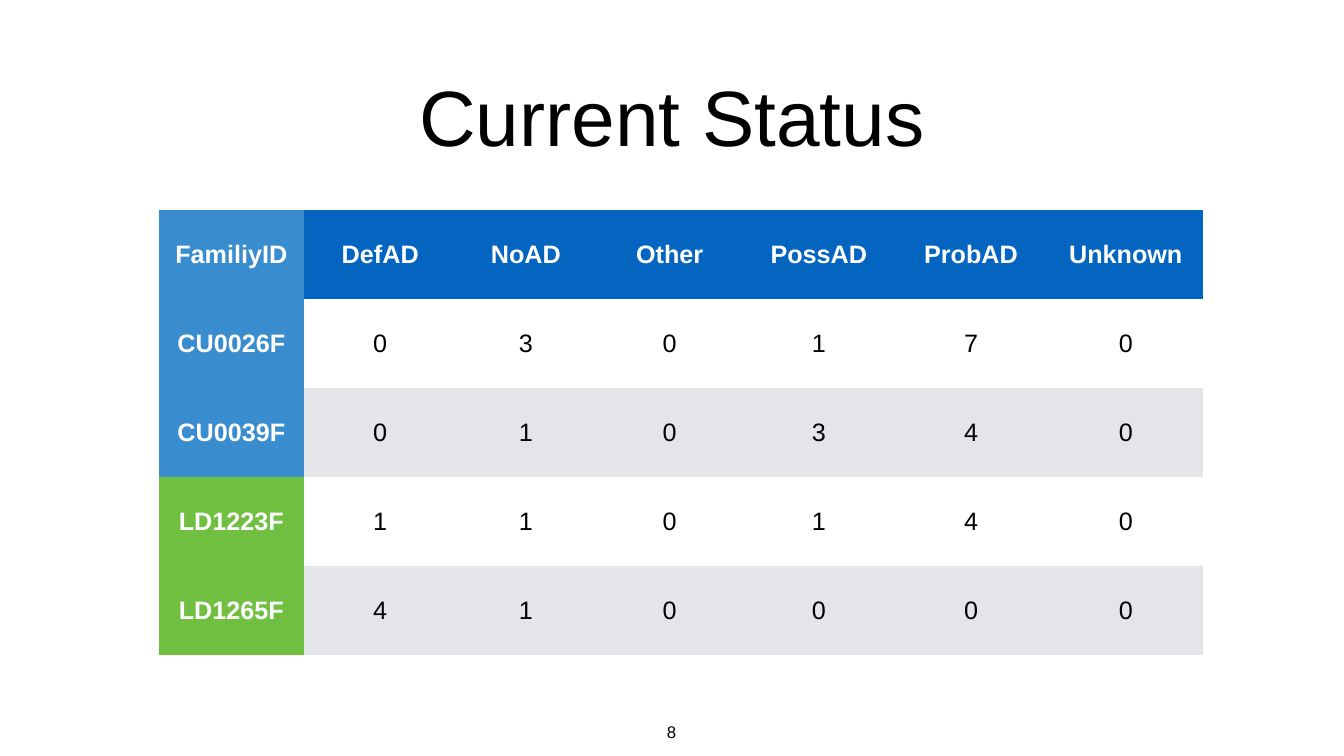
from pptx import Presentation
from pptx.dml.color import RGBColor
from pptx.enum.text import MSO_ANCHOR, MSO_AUTO_SIZE, PP_ALIGN
from pptx.oxml.ns import qn
from pptx.util import Inches, Pt

MIDDLE, CENTER = MSO_ANCHOR.MIDDLE, PP_ALIGN.CENTER
FIT = MSO_AUTO_SIZE.SHAPE_TO_FIT_TEXT
BLACK, WHITE, GREY = "000000", "FFFFFF", "E3E5E8"
NAVY, BLUE, GREEN = "0365C0", "398CCE", "70BF41"
NO_GRID = "{2D5ABB26-0587-4C30-8999-92F81FD0307C}"
SIDES = ("margin_left", "margin_top", "margin_right", "margin_bottom")


def rgb(code):
    return RGBColor.from_string(code)


def write(frame, text, size, color=BLACK, bold=False):
    """Fill a text frame with one centred Arial paragraph."""
    para = frame.paragraphs[0]
    para.alignment = CENTER
    run = para.add_run()
    run.text = text
    look = {"name": "Arial", "size": Pt(size), "bold": bold}
    for key, value in look.items():
        setattr(run.font, key, value)
    run.font.color.rgb = rgb(color)


deck = Presentation()
deck.slide_width, deck.slide_height = Inches(26.67), Inches(15)
slide = deck.slides.add_slide(deck.slide_layouts[5])

# Title
title = slide.shapes.title
title.left, title.top = Inches(1.85), Inches(1.04)
title.width, title.height = Inches(22.97), Inches(2.5)
frame = title.text_frame
frame.vertical_anchor = MIDDLE
frame.auto_size = MSO_AUTO_SIZE.NONE
for side in SIDES:
    setattr(frame, side, 0)
write(frame, "Current Status", 112)

# Page number
page = slide.shapes.add_textbox(Inches(13.17), Inches(14.31), Inches(0.31), Inches(0.51))
frame = page.text_frame
frame.word_wrap = False
frame.auto_size = FIT
for side in SIDES:
    setattr(frame, side, 0)
write(frame, "8", 24)

# Status counts: label, label fill, count fill, values
rows = [
    ("FamiliyID", BLUE, NAVY, ["DefAD", "NoAD", "Other", "PossAD", "ProbAD", "Unknown"]),
    ("CU0026F", BLUE, WHITE, [0, 3, 0, 1, 7, 0]),
    ("CU0039F", BLUE, GREY, [0, 1, 0, 3, 4, 0]),
    ("LD1223F", GREEN, WHITE, [1, 1, 0, 1, 4, 0]),
    ("LD1265F", GREEN, GREY, [4, 1, 0, 0, 0, 0]),
]
widths = [2.88, 3.03, 2.75, 2.96, 2.96, 3.08, 3.06]
high = 8.83 / len(rows)
table = slide.shapes.add_table(
    len(rows), len(widths), Inches(3.15), Inches(4.17),
    Inches(sum(widths)), Inches(high * len(rows))).table
table._tbl.tblPr.find(qn("a:tableStyleId")).text = NO_GRID
for col, width in zip(table.columns, widths):
    col.width = Inches(width)
for r, (label, tint, band, values) in enumerate(rows):
    table.rows[r].height = Inches(high)
    for c, value in enumerate([label] + values):
        cell = table.cell(r, c)
        head = r == 0 or c == 0
        cell.fill.solid()
        cell.fill.fore_color.rgb = rgb(band if c else tint)
        cell.vertical_anchor = MIDDLE
        for side in SIDES:
            setattr(cell, side, Inches(0.06))
        write(cell.text_frame, str(value), 36, WHITE if head else BLACK, head)

deck.save("out.pptx")
